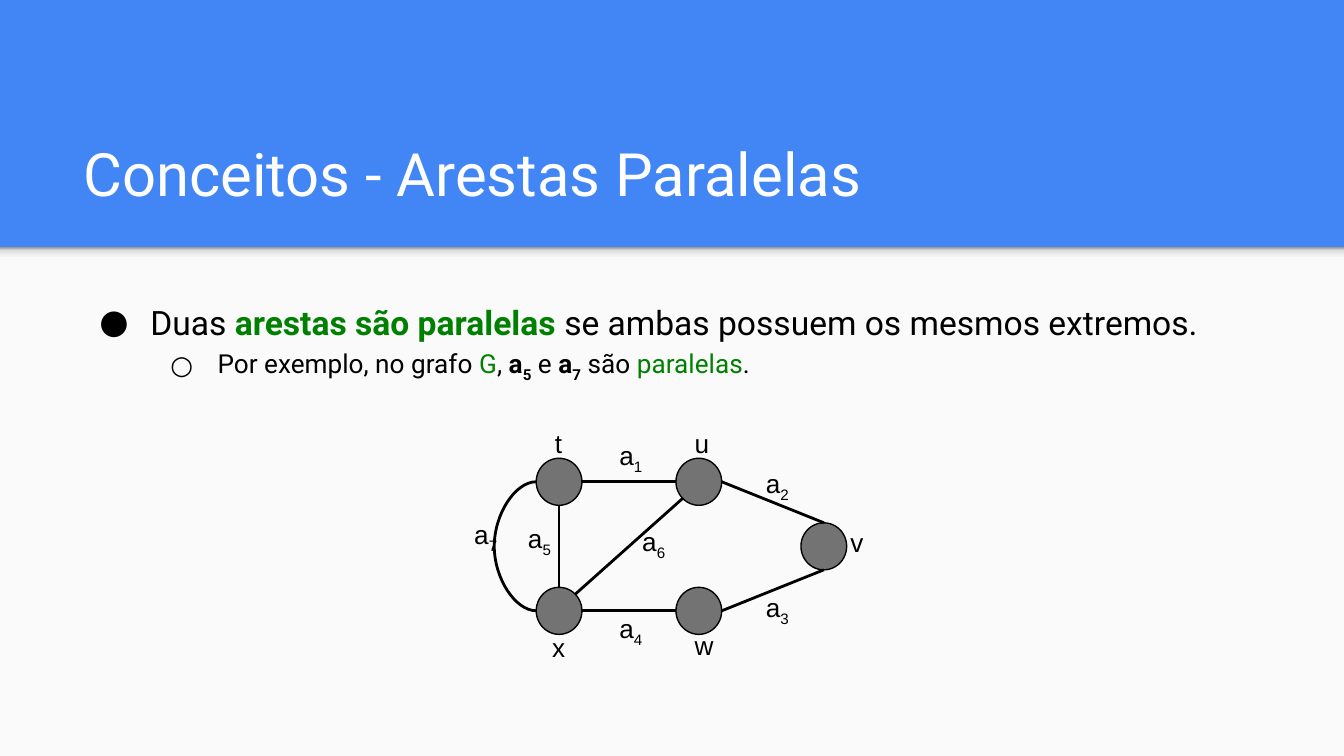
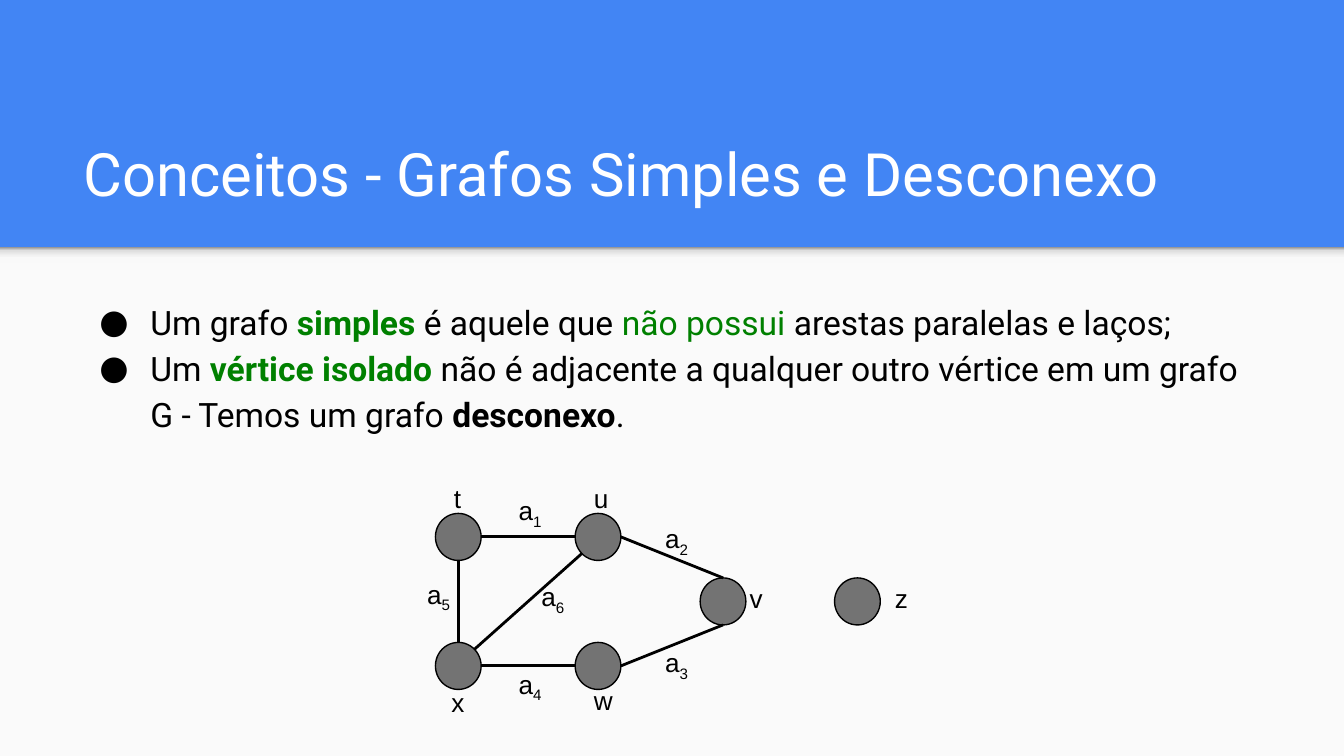
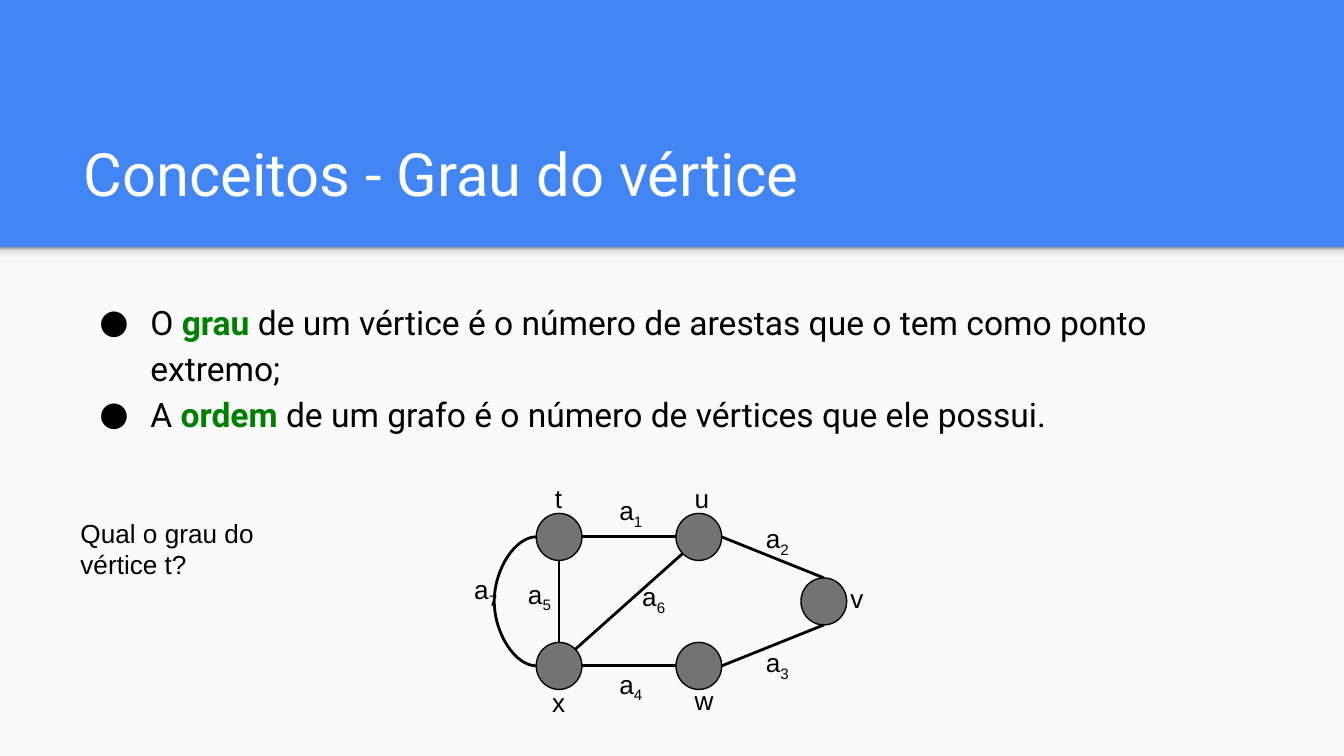
"""Build three slides on graph theory concepts."""
import copy

from lxml import etree
from pptx import Presentation
from pptx.dml.color import RGBColor
from pptx.enum import shapes, text
from pptx.oxml.ns import qn
from pptx.util import Emu, Inches, Pt

SLIDE_W = 10
SLIDE_H = SLIDE_W * 9 / 16
BAND_Y = 1.84

BLUE, PAPER, GRAY = "4285F4", "FAFAFA", "737373"
BLACK, WHITE, GREEN = "000000", "FFFFFF", "008000"
SHADE = [(0, "F9F9F9"), (36, "F9F9F9"), (80, "DEDEDE"), (100, "999999")]
TITLE_FONT, LABEL_FONT = "Roboto", "Arial"
BULLETS = [("●", 18, 0.5, -0.38), ("○", 14, 1, -0.35)]

NODE_W, NODE_H = 0.34, 0.35
NODES = {"t": (0, 0), "u": (1.04, 0), "x": (0, 0.96), "w": (1.04, 0.96),
         "v": (1.97, 0.48), "z": (2.97, 0.48)}
NODE_LABELS = {"t": (0.04, -0.33), "u": (1.08, -0.33), "x": (0.02, 1.19),
               "w": (1.08, 1.17), "v": (2.24, 0.41), "z": (3.32, 0.41)}
EDGE_LABELS = {"1": (0.52, -0.24), "2": (1.61, -0.03), "3": (1.61, 0.89),
               "4": (0.52, 1.05), "5": (-0.16, 0.38), "6": (0.69, 0.4)}
SIDES = {"top": (0, -1), "left": (-1, 0), "bottom": (0, 1), "right": (1, 0),
         "upper right": (0.7, -0.7), "lower left": (-0.7, 0.7)}
EDGES = [("t", "bottom", "x", "top"), ("t", "right", "u", "left"),
         ("u", "right", "v", "top"), ("x", "right", "w", "left"),
         ("w", "right", "v", "bottom"),
         ("x", "upper right", "u", "lower left")]


def rgb(value):
    """Turn a hex string into a colour."""
    return RGBColor.from_string(value)


def style(r, size, font, color=BLACK, bold=False, sub=False):
    """Format one run."""
    r.font.size, r.font.name, r.font.bold = Pt(size), font, bold
    r.font.color.rgb = rgb(color)
    if sub:
        r._r.get_or_add_rPr().set("baseline", "-25000")


def frame(sp, anchor=text.MSO_ANCHOR.TOP):
    """Set the margins, wrapping and anchor of a text shape."""
    tf = sp.text_frame
    tf.word_wrap, tf.auto_size = True, text.MSO_AUTO_SIZE.NONE
    tf.vertical_anchor = anchor
    tf.margin_left = tf.margin_right = Inches(0.1)
    tf.margin_top = tf.margin_bottom = Inches(0.1)
    return tf


def add_box(parent, x, y, w, h):
    """Add an empty text box and return its frame."""
    return frame(parent.shapes.add_textbox(
        Inches(x), Inches(y), Inches(w), Inches(h)))


def add_solid(parent, kind, x, y, w, h, fill, line=None):
    """Add a filled preset shape."""
    sp = parent.shapes.add_shape(kind, Inches(x), Inches(y), Inches(w), Inches(h))
    sp.shadow.inherit = False
    sp.fill.solid()
    sp.fill.fore_color.rgb = rgb(fill)
    if line:
        sp.line.color.rgb = rgb(line)
        sp.line.width = Pt(0.75)
    else:
        sp.line.fill.background()
    return sp


def add_shade(s):
    """Add the gradient strip below the title band."""
    sp = add_solid(s, shapes.MSO_SHAPE.RECTANGLE, 0, BAND_Y, SLIDE_W, 0.12, PAPER)
    sp.fill.gradient()
    sp.fill.gradient_angle = 90
    stops = sp._element.spPr.find(".//" + qn("a:gsLst"))
    model = copy.deepcopy(stops[0])
    for stop in list(stops):
        stops.remove(stop)
    for pos, color in SHADE:
        stop = copy.deepcopy(model)
        stop.set("pos", str(pos * 1000))
        for child in list(stop):
            stop.remove(child)
        etree.SubElement(stop, qn("a:srgbClr")).set("val", color)
        stops.append(stop)


def add_slide(prs, title):
    """Add a slide with its bands and title."""
    s = prs.slides.add_slide(prs.slide_layouts[5])
    add_solid(s, shapes.MSO_SHAPE.RECTANGLE, 0, BAND_Y, SLIDE_W,
              SLIDE_H - BAND_Y, PAPER)
    add_shade(s)
    sp = s.shapes.title
    sp.left, sp.top = Inches(0.52), Inches(0.81)
    sp.width, sp.height = Inches(8.99), Inches(0.84)
    tf = frame(sp, text.MSO_ANCHOR.BOTTOM)
    tf.text = title
    p = tf.paragraphs[0]
    p.alignment = text.PP_ALIGN.LEFT
    style(p.runs[0], 32, TITLE_FONT, WHITE)
    return s


def add_body(s, height, items):
    """Add bullets given as (level, runs); flags are g green, b bold, s subscript."""
    tf = add_box(s, 0.52, 2.1, 8.99, height)
    for i, (level, runs) in enumerate(items):
        p = tf.add_paragraph() if i else tf.paragraphs[0]
        mark, size, margin, indent = BULLETS[level]
        p.level, p.line_spacing = level, 1.15
        pPr = p._p.get_or_add_pPr()
        pPr.set("marL", str(Inches(margin)))
        pPr.set("indent", str(Inches(indent)))
        color = etree.SubElement(pPr, qn("a:buClr"))
        etree.SubElement(color, qn("a:srgbClr")).set("val", BLACK)
        etree.SubElement(pPr, qn("a:buFont")).set("typeface", TITLE_FONT)
        etree.SubElement(pPr, qn("a:buChar")).set("char", mark)
        for words, flags in runs:
            r = p.add_run()
            r.text = words
            style(r, size, TITLE_FONT, GREEN if "g" in flags else BLACK,
                  "b" in flags, "s" in flags)


def add_label(parent, x, y, w, h, words, sub=""):
    """Add a plain label with an optional subscript."""
    tf = add_box(parent, x, y, w, h)
    p = tf.paragraphs[0]
    p.text = words
    style(p.runs[0], 14, LABEL_FONT)
    if sub:
        r = p.add_run()
        r.text = sub
        style(r, 14, LABEL_FONT, sub=True)


def add_edge(g, start, end, kind=shapes.MSO_CONNECTOR.STRAIGHT):
    """Add an edge between two points."""
    c = g.shapes.add_connector(kind, *map(Inches, start + end))
    c.line.color.rgb = rgb(BLACK)
    c.line.width = Pt(1.5)
    etree.SubElement(c._element.spPr, qn("a:effectLst"))
    return c


def add_parallel_edge(g, x, y):
    """Add the curved edge a7 from t to x, bulging to the left."""
    c = add_edge(g, (x, y + NODE_H / 2), (x, y + 0.96 + NODE_H / 2),
                 shapes.MSO_CONNECTOR.CURVE)
    c.end_x = c.begin_x + Emu(600)
    guides = c._element.spPr.find(qn("a:prstGeom")).get_or_add_avLst()
    guide = etree.SubElement(guides, qn("a:gd"))
    guide.set("name", "adj1")
    guide.set("fmla", "val -39687500")
    add_label(g, x - 0.56, y + 0.35, 0.38, 0.33, "a", "7")


def add_graph(s, x, y, names="tuxwv", parallel=True):
    """Draw the graph with vertex t at the given corner."""
    g = s.shapes.add_group_shape()

    def joint(name, side):
        """Return the point on one side of a vertex."""
        (nx, ny), (dx, dy) = NODES[name], SIDES[side]
        return (x + nx + NODE_W / 2 * (1 + dx), y + ny + NODE_H / 2 * (1 + dy))

    for name in names:
        nx, ny = NODES[name]
        add_solid(g, shapes.MSO_SHAPE.OVAL, x + nx, y + ny, NODE_W, NODE_H,
                  GRAY, BLACK)
    for a, a_side, b, b_side in EDGES:
        add_edge(g, joint(a, a_side), joint(b, b_side))
    for name in names:
        dx, dy = NODE_LABELS[name]
        add_label(g, x + dx, y + dy, NODE_W, NODE_H, name)
    for number, (dx, dy) in EDGE_LABELS.items():
        add_label(g, x + dx, y + dy, 0.42, 0.42, "a", number)
    if parallel:
        add_parallel_edge(g, x, y)


def main():
    """Build and save the slides."""
    prs = Presentation()
    prs.slide_width, prs.slide_height = Inches(SLIDE_W), Inches(SLIDE_H)
    fill = prs.slide_master.background.fill
    fill.solid()
    fill.fore_color.rgb = rgb(BLUE)

    s = add_slide(prs, "Conceitos - Arestas Paralelas")
    add_body(s, 1.34, [
        (0, [("Duas ", ""), ("arestas são paralelas", "gb"),
             (" se ambas possuem os mesmos extremos.", "")]),
        (1, [("Por exemplo, no grafo ", ""), ("G", "g"), (", ", ""),
             ("a", "b"), ("5", "bs"), (" e ", ""), ("a", "b"), ("7", "bs"),
             (" são ", ""), ("paralelas", "g"), (".", "")])])
    add_graph(s, 3.99, 3.41)

    s = add_slide(prs, "Conceitos - Grafos Simples e Desconexo")
    add_body(s, 1.24, [
        (0, [("Um grafo ", ""), ("simples", "gb"), (" é aquele que ", ""),
             ("não possui", "g"), (" arestas paralelas e laços;", "")]),
        (0, [("Um ", ""), ("vértice isolado", "gb"),
             (" não é adjacente a qualquer outro vértice em um grafo "
              "G - Temos um grafo ", ""), ("desconexo", "b"), (".", "")])])
    add_graph(s, 3.24, 3.82, names="tuxwvz", parallel=False)

    s = add_slide(prs, "Conceitos - Grau do vértice")
    add_body(s, 2.96, [
        (0, [("O ", ""), ("grau", "gb"),
             (" de um vértice é o número de arestas que o tem como ponto "
              "extremo;", "")]),
        (0, [("A ", ""), ("ordem", "gb"),
             (" de um grafo é o número de vértices que ele possui.", "")])])
    add_graph(s, 3.99, 3.82)
    add_label(s, 0.5, 3.75, 1.78, 1.31, "Qual o grau do vértice t?")

    prs.save("out.pptx")


if __name__ == "__main__":
    main()
